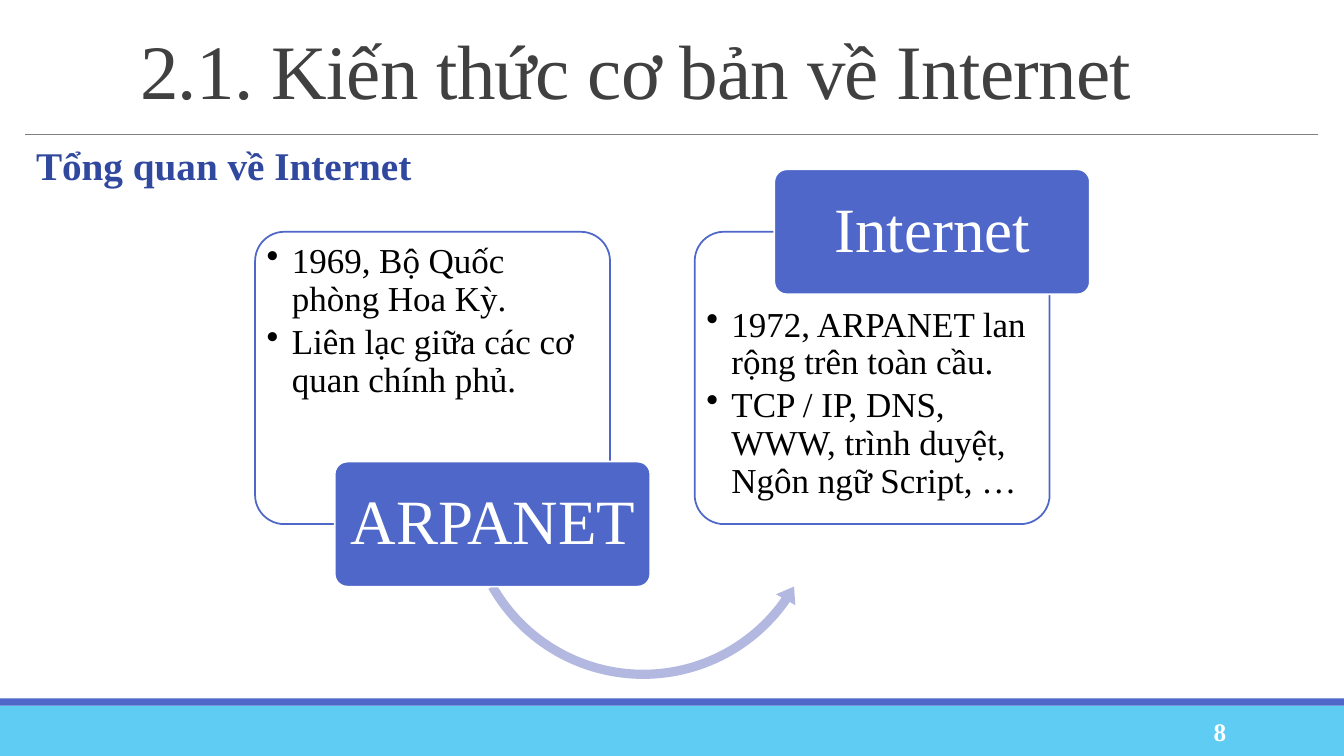
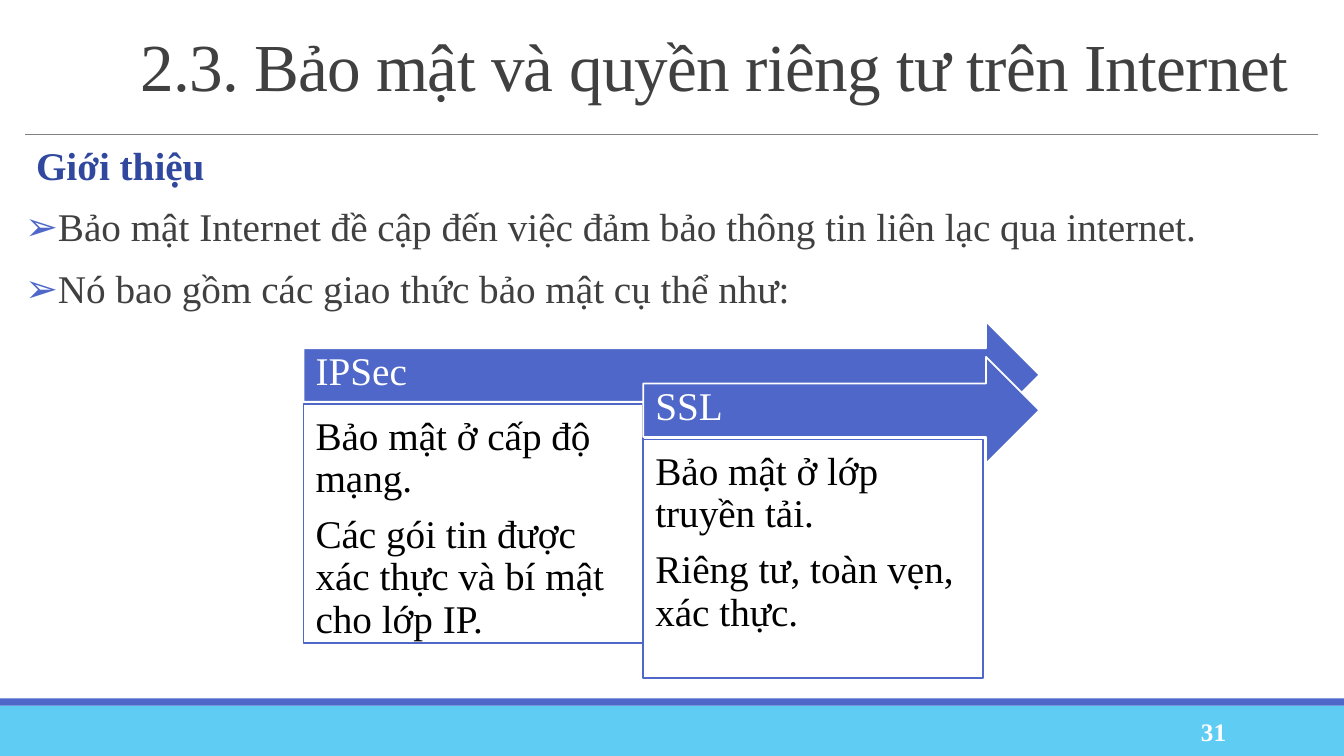
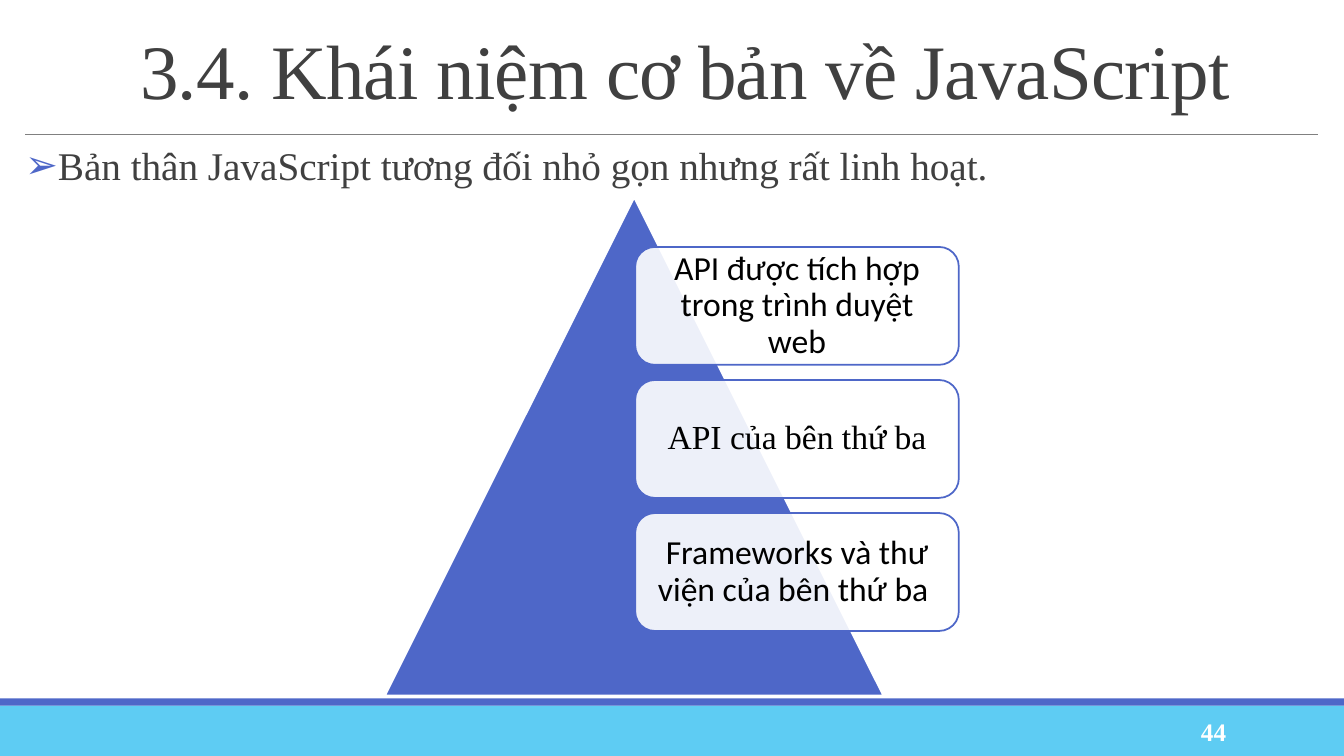
"""Three slides on the Internet, its security and JavaScript."""
from lxml.etree import SubElement
from pptx import Presentation
from pptx.dml.color import RGBColor
from pptx.enum.shapes import MSO_CONNECTOR, MSO_SHAPE
from pptx.enum.text import MSO_ANCHOR, MSO_AUTO_SIZE, PP_ALIGN
from pptx.oxml.ns import qn
from pptx.util import Inches, Pt

HUES = {"sky": "5ECCF3", "blue": "4E67C8", "navy": "31489F", "pale": "B2B8E0",
        "gray": "808080", "ink": "404040", "black": "000000", "white": "FFFFFF"}
SERIF, SANS = "Times New Roman", "Calibri"

INTRO = {"title": "2.1. Kiến thức cơ bản về Internet", "size": 55, "page": "8",
         "head": "Tổng quan về Internet", "list": []}
SAFE = {"title": "2.3. Bảo mật và quyền riêng tư trên Internet", "size": 48, "page": "31",
        "head": "Giới thiệu",
        "list": ["Bảo mật Internet đề cập đến việc đảm bảo thông tin liên lạc qua internet.",
                 "Nó bao gồm các giao thức bảo mật cụ thể như:"]}
SCRIPT = {"title": "3.4. Khái niệm cơ bản về JavaScript", "size": 55, "page": "44",
          "head": None,
          "list": ["Bản thân JavaScript tương đối nhỏ gọn nhưng rất linh hoạt."]}

NETS = [("ARPANET ", 4.58, 0.03,
         ["1969, Bộ Quốc phòng Hoa Kỳ.", "Liên lạc giữa các cơ quan chính phủ."]),
        ("Internet", 1.68, 0.66,
         ["1972, ARPANET lan rộng trên toàn cầu.",
          "TCP / IP, DNS, WWW, trình duyệt, Ngôn ngữ Script, …"])]
ARC = [0.025, 3.094, 20.849, 90.245, 0.03]
LAYERS = [("IPSec", ["Bảo mật ở cấp độ mạng.",
                     "Các gói tin được xác thực và bí mật cho lớp IP."]),
          ("SSL", ["Bảo mật ở lớp truyền tải.", "Riêng tư, toàn vẹn, xác thực."])]
PARTS = [("API được tích hợp trong trình duyệt web", SANS),
         ("API của bên thứ ba", SERIF),
         ("Frameworks và thư viện của bên thứ ba ", SANS)]


def color(name):
    return RGBColor.from_string(HUES[name])


def place(shape, left, top, width, height):
    shape.left, shape.top = Inches(left), Inches(top)
    shape.width, shape.height = Inches(width), Inches(height)


def setup(frame, pads, anchor):
    frame.word_wrap = True
    frame.auto_size = MSO_AUTO_SIZE.NONE
    frame.vertical_anchor = anchor
    (frame.margin_left, frame.margin_top,
     frame.margin_right, frame.margin_bottom) = [Inches(pad) for pad in pads]


def write(para, text, size, hue, font=SERIF, bold=False, align=PP_ALIGN.LEFT,
          lead=0.9, before=0, after=0):
    para.alignment = align
    para.line_spacing = lead
    para.space_before, para.space_after = Pt(before), Pt(after)
    run = para.add_run()
    run.text = text
    run.font.size, run.font.name, run.font.bold = Pt(size), font, bold
    run.font.color.rgb = color(hue)
    return run


def bullet(para, mark, indent, hue):
    props = para._p.get_or_add_pPr()
    props.set("marL", str(Inches(indent)))
    props.set("indent", str(-Inches(indent)))
    tint = SubElement(props, qn("a:buClr"))
    SubElement(tint, qn("a:srgbClr")).set("val", HUES[hue])
    SubElement(props, qn("a:buChar")).set("char", mark)


def lines(frame, texts, mark=None, **look):
    for i, text in enumerate(texts):
        para = frame.add_paragraph() if i else frame.paragraphs[0]
        write(para, text, **look)
        if mark:
            bullet(para, mark, 0.25, "black")


def draw(slide, kind, box, fill, edge=None, adj=(), alpha=None):
    shape = slide.shapes.add_shape(kind, *[Inches(n) for n in box])
    shape.shadow.inherit = False
    shape.fill.solid()
    shape.fill.fore_color.rgb = color(fill)
    if edge:
        shape.line.color.rgb = color(edge)
        shape.line.width = Pt(1.25)
    else:
        shape.line.fill.background()
    for i, value in enumerate(adj):
        shape.adjustments[i] = value
    if alpha:
        tint = shape.element.spPr.find(qn("a:solidFill"))[0]
        SubElement(tint, qn("a:alpha")).set("val", str(alpha * 1000))
    return shape


def dress(layout, slide):
    """Move the bands and the title rule from a slide to its layout."""
    place(layout.placeholders[0], 1.29, 0.31, 11.78, 0.96)
    place(layout.placeholders[1], 0.25, 1.4, 12.82, 5.34)
    band = draw(slide, MSO_SHAPE.RECTANGLE, (0, 7, 13.33, 0.5), "sky")
    strip = draw(slide, MSO_SHAPE.RECTANGLE, (0, 6.93, 13.33, 0.07), "blue")
    rule = slide.shapes.add_connector(MSO_CONNECTOR.STRAIGHT, Inches(0.25), Inches(1.33),
                                      Inches(13.07), Inches(1.33))
    rule.line.color.rgb = color("gray")
    rule.line.width = Pt(0.5)
    SubElement(rule.element.spPr, qn("a:effectLst"))
    for part in (band, strip, rule):
        layout.shapes.element.append(part.element)


def start(deck, data):
    slide = deck.slides.add_slide(deck.slide_layouts[1])
    title = slide.shapes.title.text_frame
    setup(title, (0.1, 0.05, 0.1, 0.05), MSO_ANCHOR.TOP)
    run = write(title.paragraphs[0], data["title"], data["size"], "ink", lead=0.85)
    run.font._element.set("spc", "-50")

    body = slide.placeholders[1].text_frame
    setup(body, (0, 0.05, 0, 0.05), MSO_ANCHOR.TOP)
    rows = [(data["head"], " ", "navy", True)] if data["head"] else []
    rows += [(text, "➢", "ink", False) for text in data["list"]]
    for i, (text, mark, hue, bold) in enumerate(rows):
        para = body.add_paragraph() if i else body.paragraphs[0]
        write(para, text, 28, hue, bold=bold, align=PP_ALIGN.JUSTIFY, before=12, after=2)
        bullet(para, mark, 0.1, "blue")

    page = slide.shapes.add_textbox(Inches(10.83), Inches(7.06), Inches(1.43), Inches(0.4))
    setup(page.text_frame, (0.1, 0.05, 0.1, 0.05), MSO_ANCHOR.MIDDLE)
    write(page.text_frame.paragraphs[0], data["page"], 18, "white", bold=True,
          align=PP_ALIGN.RIGHT, lead=1.0)
    return slide


def history(slide):
    for i, (name, top, pad, facts) in enumerate(NETS):
        left = 2.53 + 4.36 * i
        card = draw(slide, MSO_SHAPE.ROUNDED_RECTANGLE, (left, 2.3, 3.52, 2.9),
                    "white", "blue", [0.1], 90)
        setup(card.text_frame, (0.03, pad, 0.03, 0.03), MSO_ANCHOR.TOP)
        lines(card.text_frame, facts, "•", size=25, hue="black", after=3.75)
        if i == 0:
            draw(slide, MSO_SHAPE.LEFT_CIRCULAR_ARROW, (4.55, 3.14, 3.66, 3.66),
                 "pale", adj=ARC)
        chip = draw(slide, MSO_SHAPE.ROUNDED_RECTANGLE, (left + 0.79, top, 3.13, 1.24),
                    "blue", "white", [0.1])
        setup(chip.text_frame, (0.09, 0.06, 0.09, 0.06), MSO_ANCHOR.MIDDLE)
        lines(chip.text_frame, [name], size=45, hue="white", align=PP_ALIGN.CENTER)


def layers(slide):
    for i, (name, facts) in enumerate(LAYERS):
        left, top = 3.01 + 3.37 * i, 3.19 + 0.35 * i
        arrow = draw(slide, MSO_SHAPE.RIGHT_ARROW, (left, top, 10.31 - left, 1.06),
                     "blue", "white", [0.5, 0.5])
        setup(arrow.text_frame, (0.12, 0.12, 0.28, 0.17), MSO_ANCHOR.MIDDLE)
        lines(arrow.text_frame, [name], size=28, hue="white")
        card = draw(slide, MSO_SHAPE.RECTANGLE, (left, top + 0.82, 3.37, 2.37),
                    "white", "blue")
        setup(card.text_frame, [0.12] * 4, MSO_ANCHOR.TOP)
        lines(card.text_frame, facts, size=28, hue="black", after=9.8)


def pyramid(slide):
    draw(slide, MSO_SHAPE.ISOSCELES_TRIANGLE, (3.82, 1.96, 4.94, 4.94), "blue", "white")
    for i, (text, font) in enumerate(PARTS):
        card = draw(slide, MSO_SHAPE.ROUNDED_RECTANGLE, (6.3, 2.45 + 1.32 * i, 3.21, 1.17),
                    "white", "blue", alpha=90)
        setup(card.text_frame, [0.1] * 4, MSO_ANCHOR.MIDDLE)
        lines(card.text_frame, [text], size=24, hue="black", font=font,
              align=PP_ALIGN.CENTER)


def main():
    deck = Presentation()
    deck.slide_width, deck.slide_height = Inches(13.33), Inches(7.5)
    plan = [(INTRO, history), (SAFE, layers), (SCRIPT, pyramid)]
    for data, build in plan:
        build(start(deck, data))
    dress(deck.slide_layouts[1], deck.slides[0])
    deck.save("out.pptx")


if __name__ == "__main__":
    main()
